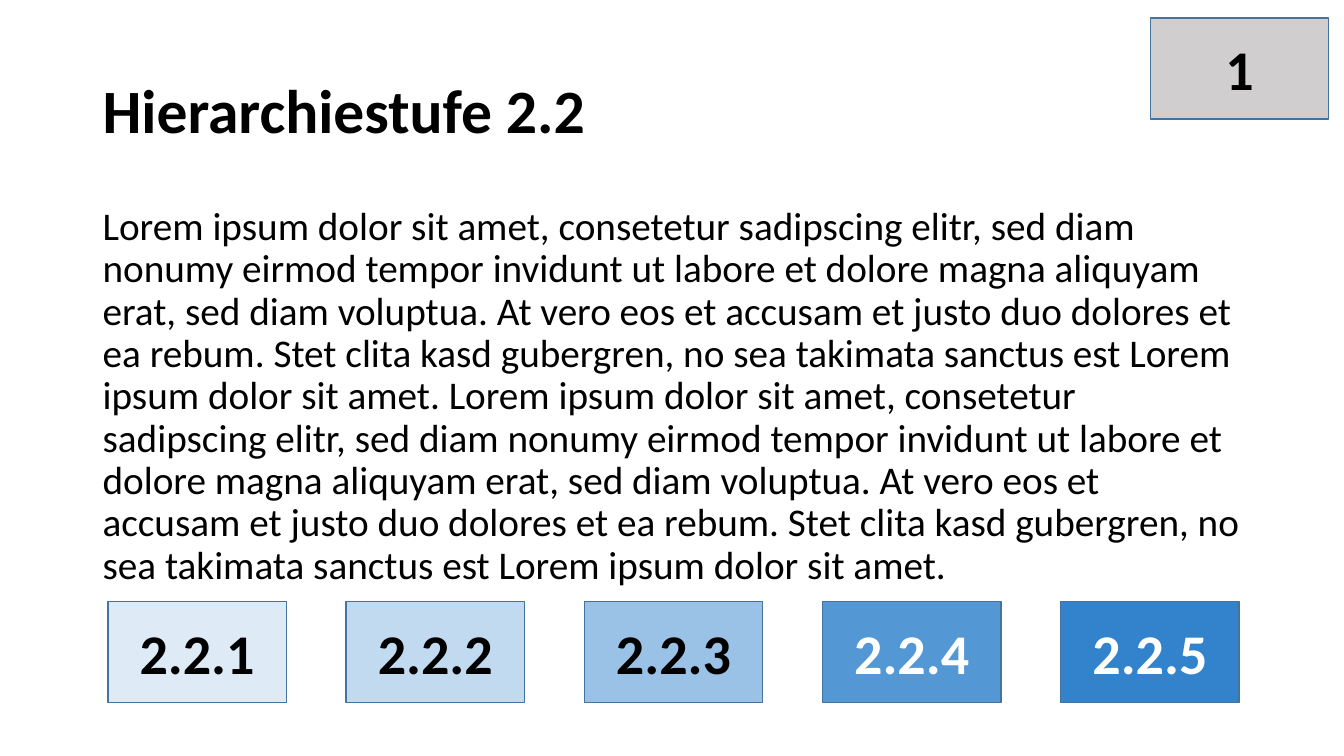
from pptx import Presentation
from pptx.dml.color import RGBColor
from pptx.enum import shapes, text
from pptx.util import Inches, Pt

COLORS = {
    "black": "000000", "white": "FFFFFF", "outline": "43739E", "gray": "D0CECE",
    "blue1": "DEEBF7", "blue2": "C2DAF0", "blue3": "9AC2E6",
    "blue4": "5397D5", "blue5": "3283CC",
}
FONT = "Calibri"
TITLE = "Hierarchiestufe 2.2"
SENTENCES = (
    "Lorem ipsum dolor sit amet, consetetur sadipscing elitr, sed diam nonumy "
    "eirmod tempor invidunt ut labore et dolore magna aliquyam erat, sed diam voluptua.",
    "At vero eos et accusam et justo duo dolores et ea rebum.",
    "Stet clita kasd gubergren, no sea takimata sanctus est Lorem ipsum dolor sit amet.",
)
BODY = " ".join(SENTENCES * 2)
LEVELS = [
    ("2.2.1", "blue1", "black"),
    ("2.2.2", "blue2", "black"),
    ("2.2.3", "blue3", "black"),
    ("2.2.4", "blue4", "white"),
    ("2.2.5", "blue5", "white"),
]
BOX_WIDTH, BOX_HEIGHT = 1.77, 1
ROW_LEFT, ROW_TOP, ROW_STEP = 1.07, 5.97, 2.3625


def color(name):
    """Return the named colour."""
    return RGBColor.from_string(COLORS[name])


def write(shape, words, size, ink="black", bold=False, anchor=text.MSO_ANCHOR.MIDDLE,
          align=text.PP_ALIGN.LEFT, spacing=1.0):
    """Put one formatted paragraph into a shape."""
    frame = shape.text_frame
    frame.word_wrap = True
    frame.vertical_anchor = anchor
    paragraph = frame.paragraphs[0]
    paragraph.alignment = align
    paragraph.line_spacing = spacing
    run = paragraph.add_run()
    run.text = words
    run.font.name = FONT
    run.font.size = Pt(size)
    run.font.bold = bold
    run.font.color.rgb = color(ink)


def add_text(slide, top, height, words, size, **style):
    """Add a text box across the content width."""
    box = slide.shapes.add_textbox(Inches(0.92), Inches(top), Inches(11.5), Inches(height))
    write(box, words, size, spacing=0.9, **style)


def add_level(slide, left, top, label, fill, ink):
    """Add one labelled hierarchy box."""
    shape = slide.shapes.add_shape(
        shapes.MSO_SHAPE.RECTANGLE, Inches(left), Inches(top),
        Inches(BOX_WIDTH), Inches(BOX_HEIGHT))
    shape.shadow.inherit = False
    shape.fill.solid()
    shape.fill.fore_color.rgb = color(fill)
    shape.line.color.rgb = color("outline")
    shape.line.width = Pt(1)
    write(shape, label, 40, ink, bold=True, align=text.PP_ALIGN.CENTER)


def main():
    """Build and save the slide."""
    presentation = Presentation()
    presentation.slide_width = Inches(13.33)
    presentation.slide_height = Inches(7.5)
    slide = presentation.slides.add_slide(presentation.slide_layouts[6])
    add_text(slide, 0.4, 1.45, TITLE, 44, bold=True)
    add_text(slide, 2, 4.76, BODY, 28, anchor=text.MSO_ANCHOR.TOP)
    for index, level in enumerate(LEVELS):
        add_level(slide, ROW_LEFT + index * ROW_STEP, ROW_TOP, *level)
    add_level(slide, 11.41, 0.18, "1", "gray", "black")
    presentation.save("out.pptx")


if __name__ == "__main__":
    main()
